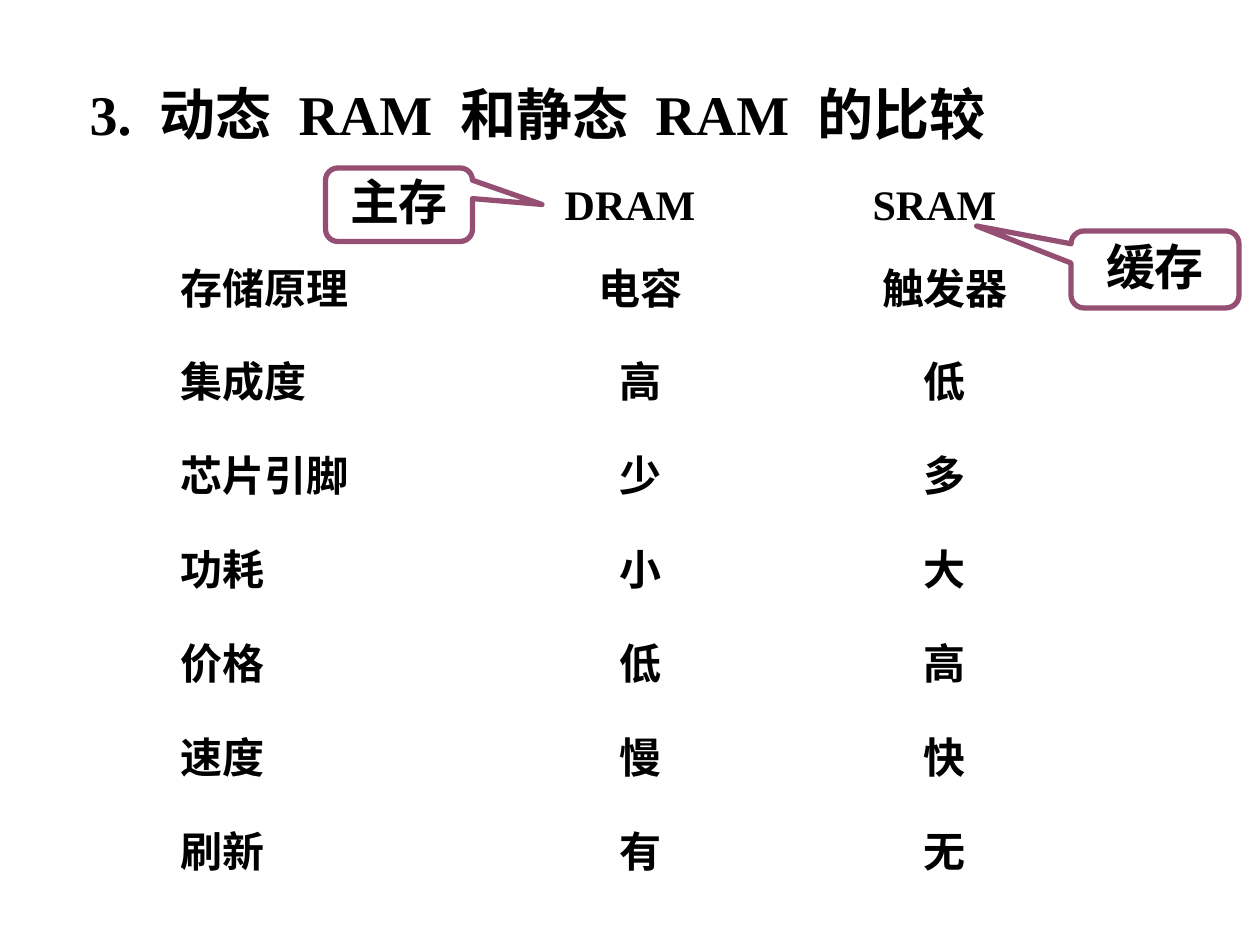
from pptx import Presentation
from pptx.dml.color import RGBColor
from pptx.enum import shapes, text
from pptx.util import Pt

COLORS = {"text": "000000", "callout": "954F72"}
FONT = "Times New Roman"
LEFT, CENTER = text.PP_ALIGN.LEFT, text.PP_ALIGN.CENTER

ROWS = [
    ("存储原理", "电容", "触发器"),
    ("集成度", "高", "低"),
    ("芯片引脚", "少", "多"),
    ("功耗", "小", "大"),
    ("价格", "低", "高"),
    ("速度", "慢", "快"),
    ("刷新", "有", "无"),
]


def style(p, size, align=LEFT):
    p.alignment = align
    p.font.name = FONT
    p.font.size = Pt(size)
    p.font.bold = True
    p.font.color.rgb = RGBColor.from_string(COLORS["text"])


def add_text(slide, box, words, size, align=LEFT):
    sp = slide.shapes.add_textbox(*map(Pt, box))
    tf = sp.text_frame
    tf.word_wrap = True
    p = tf.paragraphs[0]
    p.text = words
    style(p, size, align)
    return sp


def add_title(slide, box, words, size=32):
    sp = add_text(slide, box, "", size)
    sp.text_frame.margin_left = Pt(15.2)
    p = sp.text_frame.paragraphs[0]
    # Widen each word gap by a quarter em with character spacing
    for i, word in enumerate(words.split()):
        if i:
            gap = p.add_run()
            gap.text = " "
            gap._r.get_or_add_rPr().set("spc", str(size * 25))
        p.add_run().text = word


def add_comparison(slide, left, top):
    cell_w, cell_h, row_step = 192, 36, 53.64
    dram_x, column_step = 174, 174
    # Column headings sit slightly left of their columns
    for i, heading in enumerate(("DRAM", "SRAM")):
        x = left + dram_x - 6 + i * column_step
        add_text(slide, (x, top, cell_w, cell_h), heading, 24, CENTER)
    # Property names, then one value for each memory type
    for row, (name, *values) in enumerate(ROWS):
        y = top + 47.7 + row * row_step
        add_text(slide, (left, y, cell_w, cell_h), name, 24)
        for i, value in enumerate(values):
            x = left + dram_x + i * column_step
            add_text(slide, (x, y, cell_w, cell_h), value, 24, CENTER)


def add_callout(slide, box, words, tip):
    sp = slide.shapes.add_shape(
        shapes.MSO_SHAPE.ROUNDED_RECTANGULAR_CALLOUT, *map(Pt, box))
    for i, value in enumerate((*tip, 0.167)):
        sp.adjustments[i] = value
    sp.shadow.inherit = False
    sp.fill.background()
    sp.line.color.rgb = RGBColor.from_string(COLORS["callout"])
    sp.line.width = Pt(3)
    tf = sp.text_frame
    tf.margin_top, tf.margin_bottom = Pt(0), Pt(4)
    tf.vertical_anchor = text.MSO_ANCHOR.MIDDLE
    p = tf.paragraphs[0]
    p.text = words
    style(p, 28, CENTER)


def main():
    prs = Presentation()
    prs.slide_width, prs.slide_height = Pt(720), Pt(540)
    slide = prs.slides.add_slide(prs.slide_layouts[6])

    add_title(slide, (36, 41.8, 540, 46), "3. 动态 RAM 和静态 RAM 的比较")
    add_comparison(slide, 96, 98.5)
    add_callout(slide, (186, 96, 84, 42), "主存", (0.973, -0.003))
    add_callout(slide, (612, 132, 96, 44), "缓存", (-1.062, -0.565))

    prs.save("out.pptx")


if __name__ == "__main__":
    main()
